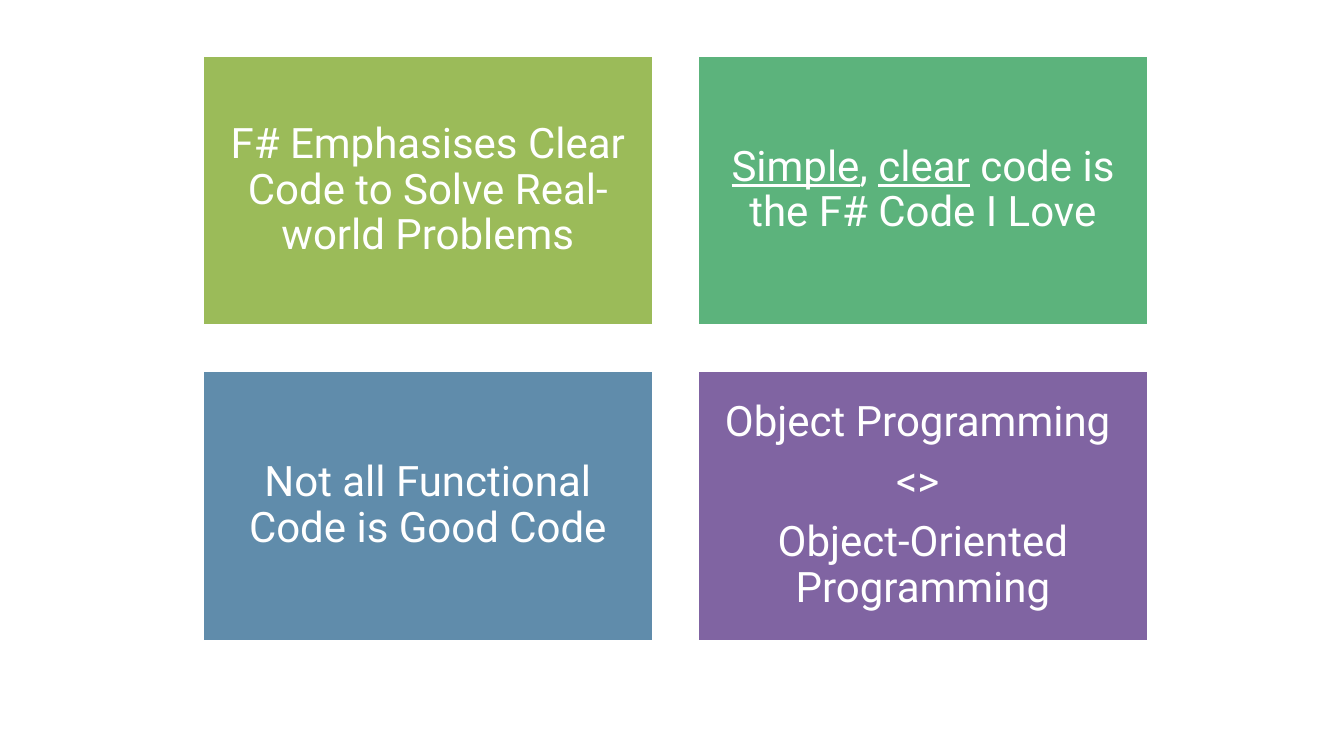
"""Build a slide with a two-by-two grid of coloured statements about F# code."""
from pptx import Presentation
from pptx.dml.color import RGBColor
from pptx.enum.shapes import MSO_SHAPE
from pptx.enum.text import MSO_ANCHOR, PP_ALIGN
from pptx.util import Emu, Pt

RECTANGLE = MSO_SHAPE.RECTANGLE
MIDDLE = MSO_ANCHOR.MIDDLE
CENTER = PP_ALIGN.CENTER
PX = 9144
LEFT, TOP = 201, 55
WIDTH, HEIGHT = 447, 268
STEP_X, STEP_Y = 491, 313
INSET = 12
COLORS = {
    "white": "FFFFFF",
    "olive": "9BBB59",
    "green": "5CB37C",
    "blue": "608CAB",
    "purple": "8064A2",
}
CARDS = [
    ("olive", [[("F# Emphasises Clear Code to Solve Real-world Problems", False)]]),
    ("green", [[("Simple", True), (", ", False), ("clear", True),
                (" code is the F# Code I Love", False)]]),
    ("blue", [[("Not all Functional Code is Good Code", False)]]),
    ("purple", [[("Object Programming ", False)], [("<> ", False)],
                [("Object-Oriented Programming", False)]]),
]


def px(n):
    return Emu(n * PX)


def rgb(name):
    return RGBColor.from_string(COLORS[name])


prs = Presentation()
prs.slide_width, prs.slide_height = px(1333), px(750)
s = prs.slides.add_slide(prs.slide_layouts[6])

for i, (color, paragraphs) in enumerate(CARDS):
    row, col = divmod(i, 2)
    sp = s.shapes.add_shape(RECTANGLE, px(LEFT + col * STEP_X), px(TOP + row * STEP_Y),
                            px(WIDTH), px(HEIGHT))
    sp.shadow.inherit = False
    sp.fill.solid()
    sp.fill.fore_color.rgb = rgb(color)
    sp.line.color.rgb = rgb("white")
    sp.line.width = Pt(2)
    tf = sp.text_frame
    tf.word_wrap = True
    tf.vertical_anchor = MIDDLE
    tf.margin_left = tf.margin_right = tf.margin_top = tf.margin_bottom = px(INSET)
    for j, runs in enumerate(paragraphs):
        p = tf.add_paragraph() if j else tf.paragraphs[0]
        p.alignment = CENTER
        p.line_spacing = 0.9
        p.space_after = Pt(10.5)
        p.font.name = "Roboto"
        p.font.size = Pt(30)
        p.font.color.rgb = rgb("white")
        for text, underlined in runs:
            r = p.add_run()
            r.text = text
            if underlined:
                r.font.underline = True

prs.save("out.pptx")
